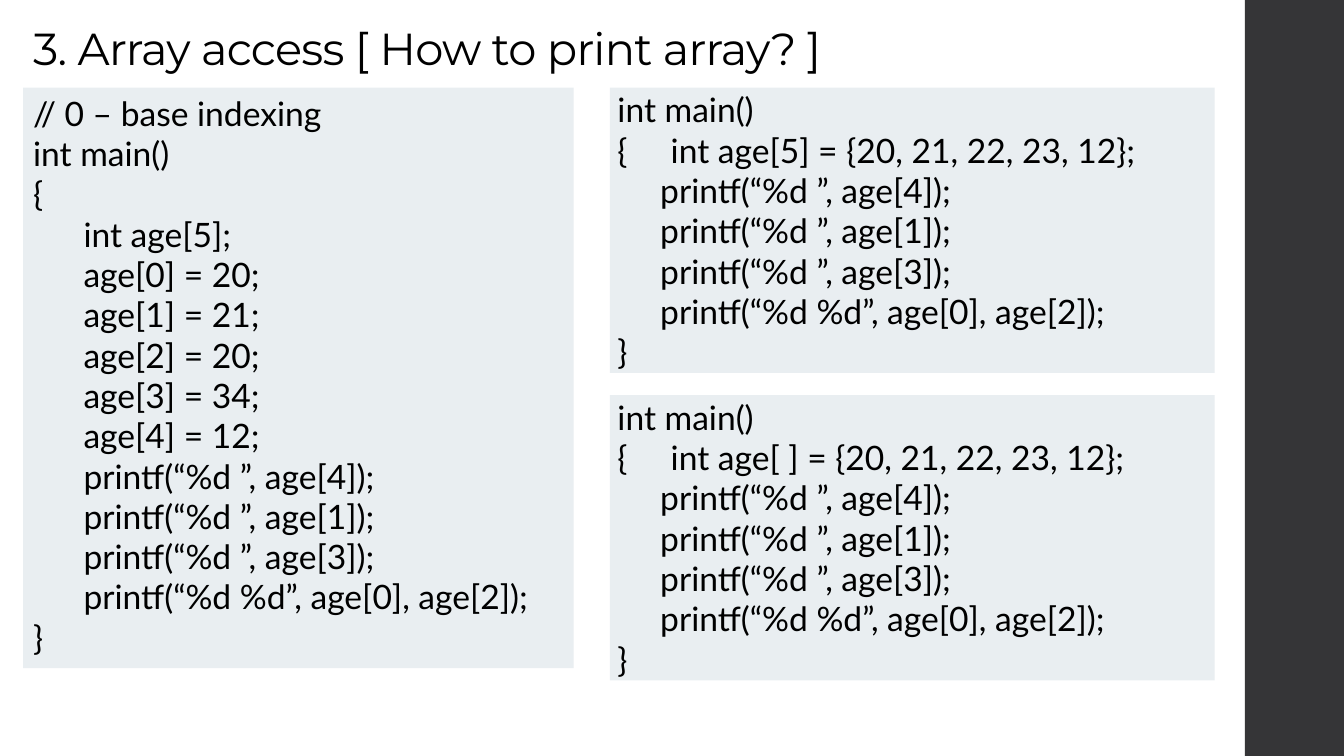
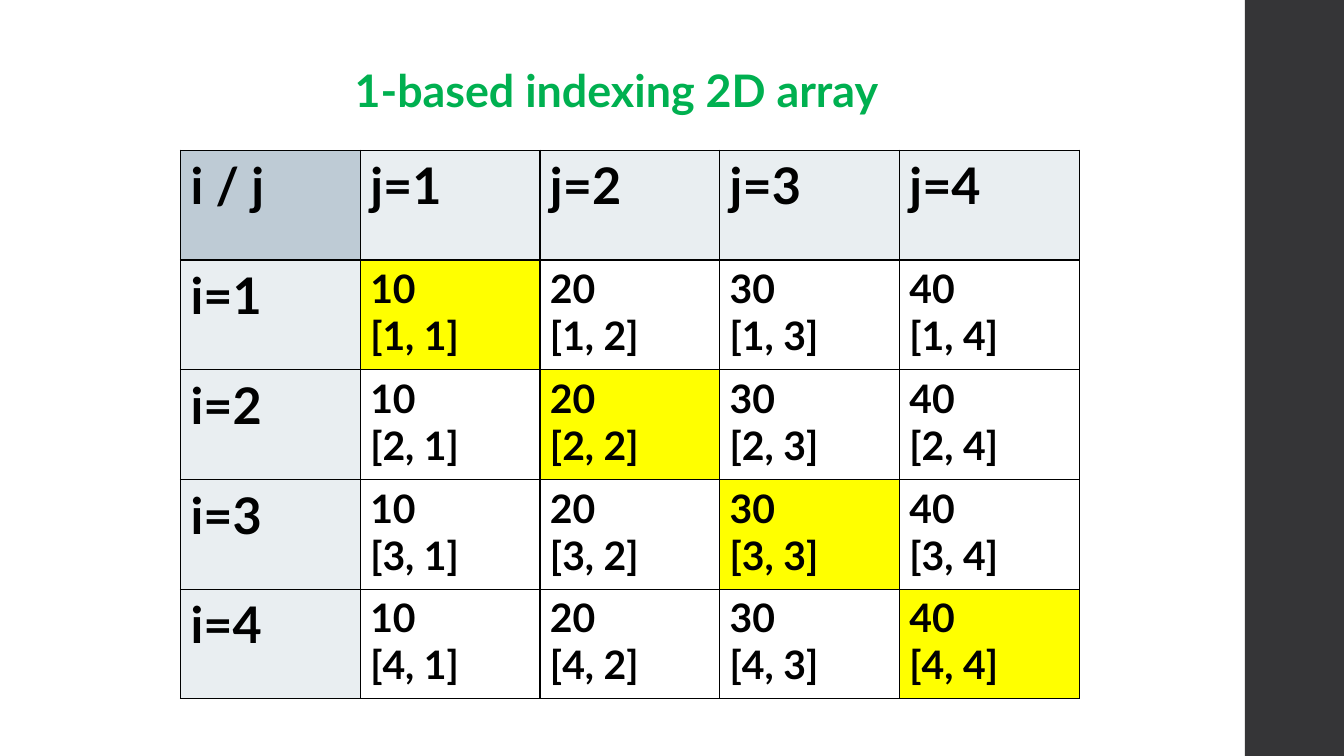
from dataclasses import dataclass

from lxml.etree import SubElement
from pptx import Presentation
from pptx.dml.color import RGBColor as RGB
from pptx.enum.shapes import MSO_SHAPE as Shape
from pptx.enum.text import MSO_ANCHOR as Anchor, PP_ALIGN as Align
from pptx.oxml import parse_xml
from pptx.oxml.ns import nsdecls, qn
from pptx.util import Pt


@dataclass(frozen=True)
class Theme:
    ink: RGB = RGB(0, 0, 0)
    band: RGB = RGB(0x35, 0x35, 0x37)
    panel: RGB = RGB(0xE9, 0xEE, 0xF1)
    corner: RGB = RGB(0xBE, 0xCB, 0xD5)
    highlight: RGB = RGB(0xFF, 0xFF, 0)
    heading: RGB = RGB(0, 0xB0, 0x50)
    title_font: str = "Montserrat"
    body_font: str = "Lato"
    title_size: int = 32
    code_size: int = 24
    header_size: int = 36
    cell_size: int = 28


WIDTH, HEIGHT = 960, 540
BRACE_TAB = 38
PRINTS = [
    "\tprintf(“%d ”, age[4]);",
    "\tprintf(“%d ”, age[1]);",
    "\tprintf(“%d ”, age[3]);",
    "\tprintf(“%d %d”, age[0], age[2]);",
]


def apply(target, values):
    for name, value in values.items():
        setattr(target, name, value)


def points(*lengths):
    return [Pt(length) for length in lengths]


class Deck:
    def __init__(self, theme):
        self.theme = theme
        self.presentation = Presentation()
        apply(self.presentation, {"slide_width": Pt(WIDTH), "slide_height": Pt(HEIGHT)})
        self.slide = None

    def new_slide(self):
        """Start a blank slide with the dark band on its right edge."""
        self.slide = self.presentation.slides.add_slide(self.presentation.slide_layouts[6])
        self.rectangle((889.2, 0, 72, HEIGHT), self.theme.band)

    def rectangle(self, box, color):
        shape = self.slide.shapes.add_shape(Shape.RECTANGLE, *points(*box))
        shape.shadow.inherit = False
        shape.fill.solid()
        shape.fill.fore_color.rgb = color
        shape.line.fill.background()
        return shape

    def add_text(self, paragraph, text, color=None, **font):
        run = paragraph.add_run()
        run.text = text
        apply(run.font, {"name": self.theme.body_font, **font})
        run.font.color.rgb = color or self.theme.ink
        return run

    def text_box(self, box, text, anchor=Anchor.TOP, layout=None, **font):
        frame = self.slide.shapes.add_textbox(*points(*box)).text_frame
        apply(frame, {"word_wrap": True, "vertical_anchor": anchor})
        paragraph = frame.paragraphs[0]
        apply(paragraph, layout or {})
        return self.add_text(paragraph, text, **font)

    def title(self, text):
        run = self.text_box((16.6, 0, 937.4, 56.9), text, Anchor.BOTTOM,
                            {"line_spacing": 0.9}, name=self.theme.title_font,
                            size=Pt(self.theme.title_size))
        run.font._element.set("spc", "-50")

    def heading(self, box, text):
        self.text_box(box, text, layout={"alignment": Align.JUSTIFY}, bold=True,
                      size=Pt(self.theme.title_size), color=self.theme.heading)

    def code(self, box, lines, indent, **frame_format):
        """Draw a code panel; a leading tab marks an indented line."""
        frame = self.rectangle(box, self.theme.panel).text_frame
        apply(frame, {"word_wrap": True, **frame_format})
        for number, line in enumerate(lines):
            paragraph = frame.add_paragraph() if number else frame.paragraphs[0]
            paragraph.alignment = Align.LEFT
            properties = paragraph._p.get_or_add_pPr()
            if line.startswith("\t"):
                properties.set("marL", str(Pt(indent)))
            elif "\t" in line:
                stops = SubElement(properties, qn("a:tabLst"))
                SubElement(stops, qn("a:tab"), pos=str(Pt(BRACE_TAB)), algn="l")
            self.add_text(paragraph, line.lstrip("\t"), size=Pt(self.theme.code_size))

    def index_table(self, box, count):
        """Draw a count by count grid of values with its diagonal highlighted."""
        theme, size = self.theme, count + 1
        table = self.slide.shapes.add_table(size, size, *points(*box)).table
        apply(table, {"first_row": False, "horz_banding": False})
        for i in range(size):
            for j in range(size):
                if i and j:
                    lines, font_size = [str(10 * j), f"[{i}, {j}]"], theme.cell_size
                    color = theme.highlight if i == j else None
                else:
                    label = f"i={i}" if i else f"j={j}" if j else "i / j"
                    lines, font_size = [label], theme.header_size
                    color = theme.panel if i or j else theme.corner
                self.cell(table.cell(i, j), lines, font_size, color)

    def cell(self, cell, lines, font_size, color):
        if color:
            cell.fill.solid()
            cell.fill.fore_color.rgb = color
        else:
            cell.fill.background()
        for number, line in enumerate(lines):
            frame = cell.text_frame
            paragraph = frame.add_paragraph() if number else frame.paragraphs[0]
            self.add_text(paragraph, line, size=Pt(font_size), bold=True)
        properties = cell._tc.get_or_add_tcPr()
        for position, side in enumerate("LRTB"):
            properties.insert(position, parse_xml(
                f'<a:ln{side} {nsdecls("a")} w="{Pt(1)}"><a:solidFill>'
                f'<a:srgbClr val="{self.theme.ink}"/></a:solidFill></a:ln{side}>'))


def array_access(deck):
    deck.new_slide()
    deck.title("3. Array access [ How to print array? ]")
    assignments = [f"\tage[{index}] = {age};" for index, age in enumerate((20, 21, 20, 34, 12))]
    deck.code((16.6, 62.6, 393.1, 414.7),
              ["// 0 – base indexing", "int main()", "{", "\tint age[5];",
               *assignments, *PRINTS, "}"],
              indent=36, vertical_anchor=Anchor.TOP)
    margins = {"margin_left": Pt(5.5), "margin_right": 0, "margin_top": 0, "margin_bottom": 0}
    for top, length in ((62.6, "5"), (282.2, " ")):
        deck.code((435.6, top, 432, 203.8),
                  ["int main()", f"{{\tint age[{length}] = {{20, 21, 22, 23, 12}};",
                   *PRINTS, "}"],
                  indent=30.5, vertical_anchor=Anchor.MIDDLE, **margins)


def two_dimensional_array(deck):
    deck.new_slide()
    deck.index_table((128.9, 107.3, 642, 392), count=4)
    deck.heading((246.2, 41, 468.7, 46), "1-based indexing 2D array")


def main():
    deck = Deck(Theme())
    array_access(deck)
    two_dimensional_array(deck)
    deck.presentation.save("out.pptx")


if __name__ == "__main__":
    main()
